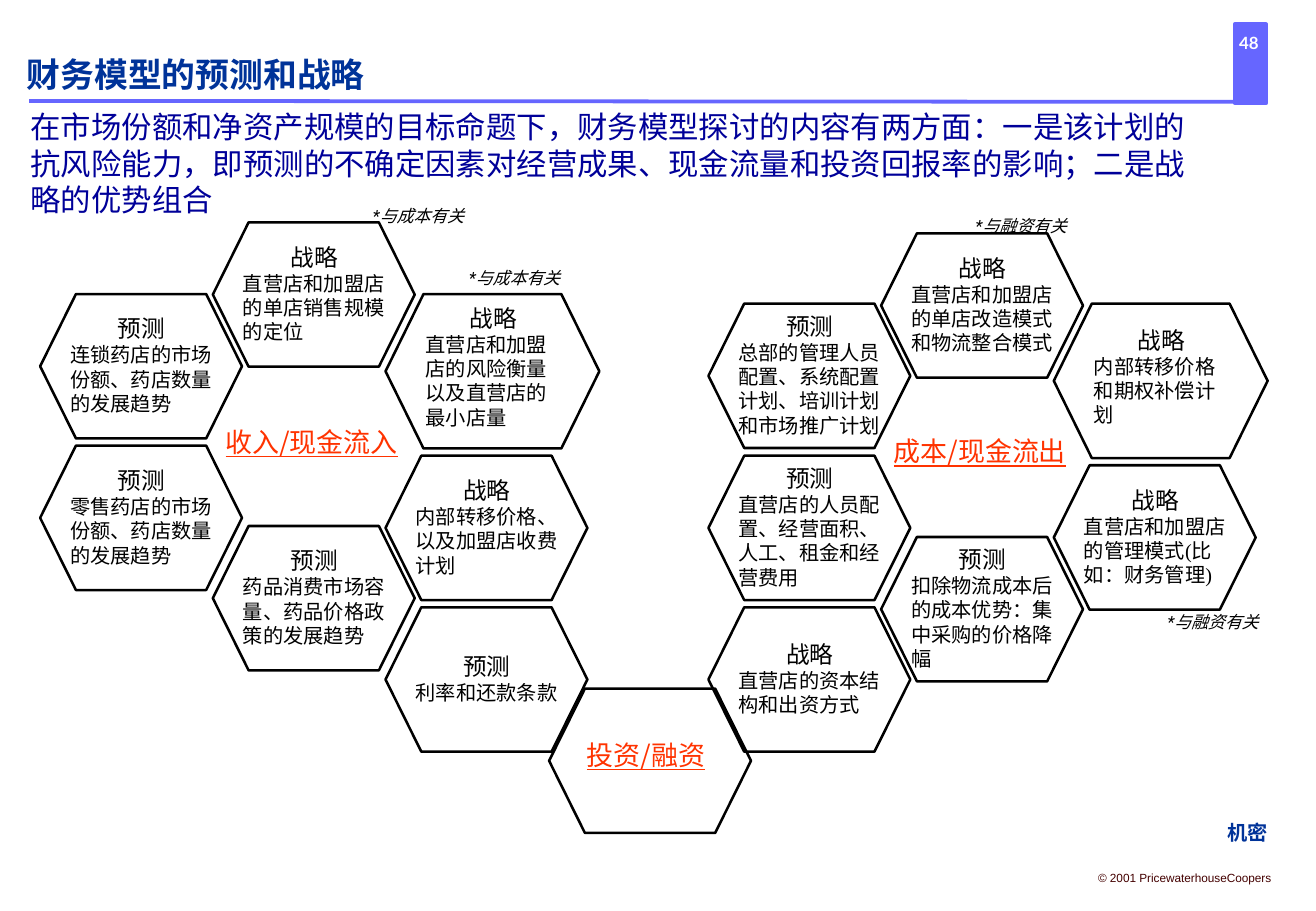
from pptx import Presentation
from pptx.dml.color import RGBColor
from pptx.enum.shapes import MSO_CONNECTOR, MSO_SHAPE
from pptx.enum.text import MSO_ANCHOR, MSO_AUTO_SIZE, PP_ALIGN
from pptx.oxml.xmlchemy import OxmlElement
from pptx.util import Cm, Pt

COLORS = {"black": "000000", "white": "FFFFFF", "accent": "6666FF", "navy": "003399",
          "blue": "000099", "red": "FF3300", "maroon": "440000"}
CJK = "Noto Sans CJK SC"

HEADING = "财务模型的预测和战略"
STATEMENT = ("在市场份额和净资产规模的目标命题下，财务模型探讨的内容有两方面："
             "一是该计划的抗风险能力，即预测的不确定因素对经营成果、现金流量和"
             "投资回报率的影响；二是战略的优势组合")

# Column, top in cm, size, kind, content, lines reserved for the content
CELLS = [
    (0, 6.15, "small", "预测", "连锁药店的市场份额、药店数量的发展趋势", 4),
    (0, 9.32, "small", "预测", "零售药店的市场份额、药店数量的发展趋势", 4),
    (1, 4.65, "small", "战略", "直营店和加盟店的单店销售规模的定位", 3),
    (1, 11.0, "small", "预测", "药品消费市场容量、药品价格政策的发展趋势", 4),
    (2, 6.15, "large", "战略", "直营店和加盟店的风险衡量以及直营店的最小店量", 4),
    (2, 9.53, "small", "战略", "内部转移价格、以及加盟店收费计划", 3),
    (2, 12.7, "small", "预测", "利率和还款条款", 1),
    (3, 6.35, "small", "预测", "总部的管理人员配置、系统配置计划、培训计划和市场推广计划", 5),
    (3, 9.53, "small", "预测", "直营店的人员配置、经营面积、人工、租金和经营费用", 4),
    (3, 12.7, "small", "战略", "直营店的资本结构和出资方式", 3),
    (4, 4.88, "small", "战略", "直营店和加盟店的单店改造模式和物流整合模式", 4),
    (4, 11.23, "small", "预测", "扣除物流成本后的成本优势：集中采购的价格降幅", 4),
    (5, 6.35, "large", "战略", "内部转移价格和期权补偿计划", 3),
    (5, 9.73, "small", "战略", "直营店和加盟店的管理模式(比如：财务管理)", 3),
]
# Width, height, adjustment, text inset, text width, upward shift of the text
SIZES = {"small": (4.22, 3.02, 0.248, 0.63, 2.98, 0.03),
         "large": (4.47, 3.23, 0.246, 0.84, 2.82, 0.1)}
THEMES = [("收入/现金流入", 4.24, 8.89), ("成本/现金流出", 18.21, 9.09),
          ("投资/融资", 11.23, 15.44)]
FINANCING_HEXAGON = (11.48, 14.4)
NOTES = [("*与成本有关", 7.49, 4.22), ("*与成本有关", 9.5, 5.51),
         ("*与融资有关", 24.1, 12.7), ("*与融资有关", 20.09, 4.42)]

LEFT_GROUP, RIGHT_GROUP, COLUMN_STEP = 0.84, 14.81, 3.61


def color(name):
    return RGBColor.from_string(COLORS[name])


def write(frame, lines, font=CJK, tint="black", align=PP_ALIGN.CENTER, anchor=MSO_ANCHOR.MIDDLE,
          wrap=True, margins=(0, 0), pitch=1.2, bold=False, italic=False, underline=False):
    """Fill a text frame; each line is (text, size) or (text, size, alignment)."""
    frame.word_wrap = wrap
    frame.auto_size = MSO_AUTO_SIZE.NONE
    frame.vertical_anchor = anchor
    frame.margin_left = frame.margin_right = Cm(margins[0])
    frame.margin_top = frame.margin_bottom = Cm(margins[1])
    for index, (text, size, *own_align) in enumerate(lines):
        para = frame.add_paragraph() if index else frame.paragraphs[0]
        para.alignment = own_align[0] if own_align else align
        para.line_spacing = Pt(round(size * pitch, 1))
        span = para.add_run()
        span.text = text
        span.font.size = Pt(size)
        span.font.name = font
        span.font.bold, span.font.italic, span.font.underline = bold, italic, underline
        span.font.color.rgb = color(tint)
        east_asian = OxmlElement("a:ea")
        east_asian.set("typeface", CJK)
        span.font._element.find("{*}latin").addnext(east_asian)


def add_text(page, left, top, width, height, lines, **style):
    box = page.shapes.add_textbox(Cm(left), Cm(top), Cm(width), Cm(height))
    write(box.text_frame, lines, **style)


def add_hexagon(page, left, top, size="small"):
    width, height, adjustment = SIZES[size][:3]
    box = page.shapes.add_shape(MSO_SHAPE.HEXAGON, Cm(left), Cm(top), Cm(width), Cm(height))
    box.adjustments[0] = adjustment
    box.shadow.inherit = False
    box.fill.background()
    box.line.color.rgb = color("black")
    box.line.width = Pt(1.5)


def add_cell(page, column, top, size, kind, content, line_count):
    group, place = divmod(column, 3)
    left = (LEFT_GROUP, RIGHT_GROUP)[group] + place * COLUMN_STEP
    add_hexagon(page, left, top, size)
    _, height, _, inset, text_width, shift = SIZES[size]
    text_height = 0.58 + 0.51 * line_count
    add_text(page, left + inset, top + (height - text_height) / 2 - shift,
             text_width, text_height,
             [(kind, 14), (content, 12, PP_ALIGN.LEFT)], font="Times New Roman")


def add_page_frame(page):
    tab = page.shapes.add_shape(MSO_SHAPE.RECTANGLE, Cm(25.81), Cm(0.51), Cm(0.66), Cm(1.65))
    tab.shadow.inherit = False
    tab.fill.solid()
    tab.fill.fore_color.rgb = color("accent")
    rule = page.shapes.add_connector(MSO_CONNECTOR.STRAIGHT, Cm(0.61), Cm(2.11), Cm(26.11), Cm(2.13))
    rule._element.spPr.append(OxmlElement("a:effectLst"))
    for item in (tab, rule):
        item.line.color.rgb = color("accent")
        item.line.width = Pt(2.25)
    add_text(page, 25.22, 0.64, 1.78, 0.51, [("48", 10)],
             font="Lato", tint="white", bold=True, wrap=False)
    add_text(page, 22.71, 18.08, 4.11, 0.56, [("© 2001 PricewaterhouseCoopers", 7)],
             font="Arial", tint="maroon", wrap=False, margins=(0.25, 0.13))
    add_text(page, 25.4, 17.02, 1.35, 0.76, [("机密", 12)],
             font="Arial", tint="navy", bold=True, wrap=False, margins=(0.25, 0.13))


def main():
    deck = Presentation()
    deck.slide_width, deck.slide_height = Cm(27.51), Cm(19.05)
    page = deck.slides.add_slide(deck.slide_layouts[5])
    add_page_frame(page)

    heading_style = {"align": PP_ALIGN.LEFT, "anchor": MSO_ANCHOR.BOTTOM}
    add_text(page, 0.56, 0.46, 24.66, 1.52, [(HEADING, 20)],
             tint="navy", bold=True, **heading_style)
    title = page.shapes.title
    title.left, title.top, title.width, title.height = Cm(0.64), Cm(2.11), Cm(24.66), Cm(2.44)
    write(title.text_frame, [(STATEMENT, 18)], tint="blue", **heading_style)

    for cell in CELLS:
        add_cell(page, *cell)
    add_hexagon(page, *FINANCING_HEXAGON)
    for text, left, top in THEMES:
        add_text(page, left, top, 4.55, 0.69, [(text, 16)], tint="red", underline=True)
    for text, left, top in NOTES:
        add_text(page, left, top, 2.51, 0.64, [(text, 10)], font="Roboto", italic=True,
                 anchor=MSO_ANCHOR.TOP, wrap=False, margins=(0.25, 0.13), pitch=1.08)

    deck.save("out.pptx")


if __name__ == "__main__":
    main()
